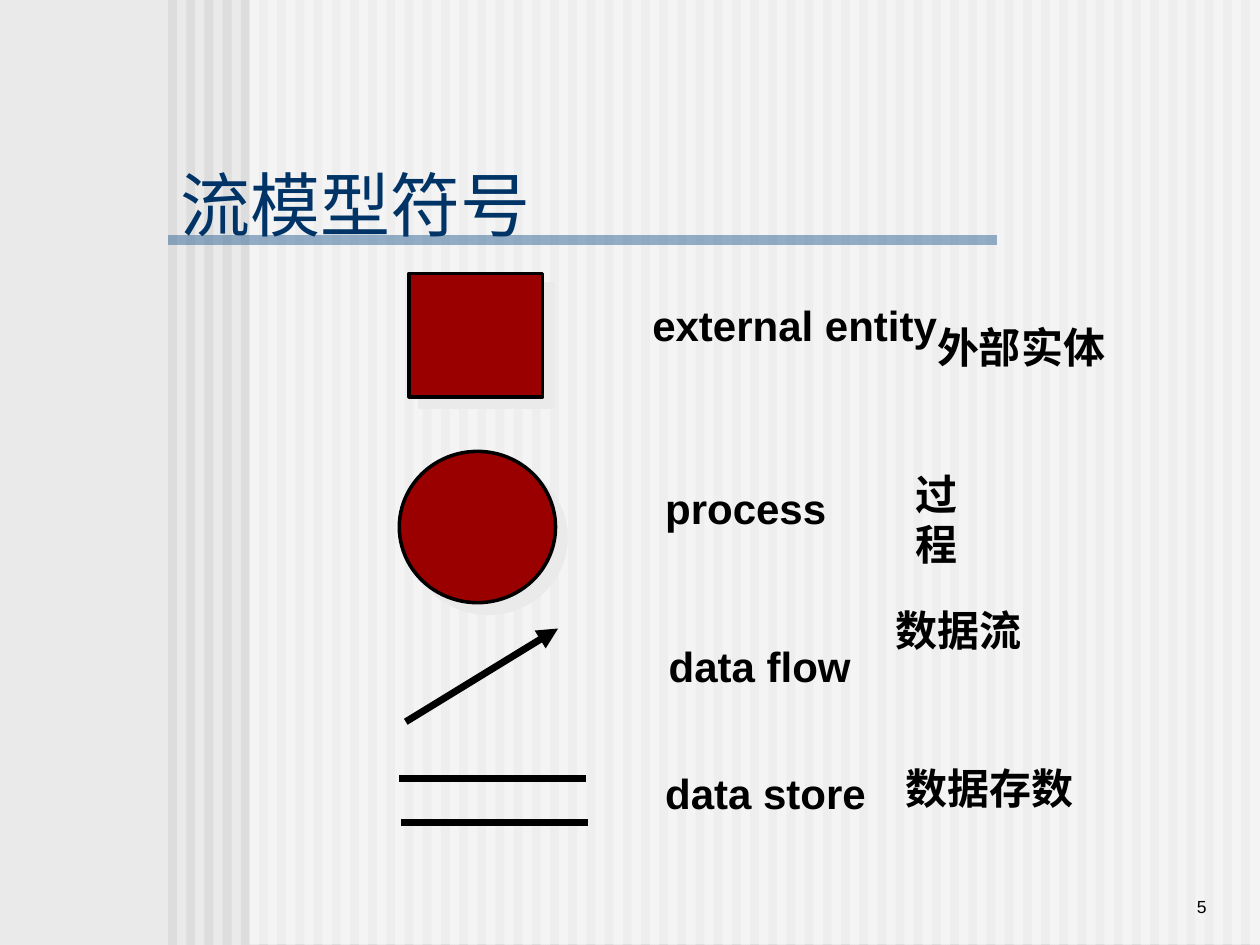
from lxml import etree
from pptx import Presentation
from pptx.dml.color import RGBColor
from pptx.enum import shapes, text
from pptx.oxml import ns
from pptx.util import Cm, Pt

COLORS = {
    "background": "EAEAEA",
    "stripe": "DDDDDD",
    "panel": "FFFFFF",
    "rule": "336699",
    "title": "003366",
    "symbol": "9A0000",
    "ink": "000000",
}
LATIN, CHINESE = "Arial", "Noto Sans CJK SC"
STRIPE_COUNT, STRIPE_FIRST, STRIPE_LAST = 60, 3.39, 25.02
SYMBOLS = [
    (shapes.MSO_SHAPE.RECTANGLE, (8.25, 5.51, 2.69, 2.49)),
    (shapes.MSO_SHAPE.OVAL, (8.05, 9.1, 3.15, 3.05)),
]
STORE_LINES = [(8.05, 15.7, 11.81, 15.7), (8.08, 16.59, 11.86, 16.59)]
LABELS = [
    ("外部实体", CHINESE, (18.64, 6.35, 3.89, 1.27)),
    ("过程", CHINESE, (18.21, 9.32, 2.18, 1.27)),
    ("数据流", CHINESE, (17.8, 12.07, 3.05, 1.27)),
    ("数据存数", CHINESE, (18.01, 15.24, 3.89, 1.27)),
    ("external entity", LATIN, (12.9, 5.92, 6.25, 1.27)),
    ("process", LATIN, (13.16, 9.6, 3.76, 1.27)),
    ("data flow", LATIN, (13.23, 12.78, 4.17, 1.27)),
    ("data store", LATIN, (13.16, 15.34, 4.55, 1.27)),
]


def color(name):
    """Return the named colour."""
    return RGBColor.from_string(COLORS[name])


def add_child(parent, tag, **attributes):
    """Append a DrawingML element and return it."""
    return etree.SubElement(parent, ns.qn(f"a:{tag}"), attributes)


def add_block(slide, box, fill, opacity=100, kind=shapes.MSO_SHAPE.RECTANGLE):
    """Add a filled shape without outline or shadow."""
    shape = slide.shapes.add_shape(kind, *map(Cm, box))
    shape.shadow.inherit = False
    shape.fill.solid()
    shape.fill.fore_color.rgb = color(fill)
    shape.line.fill.background()
    if opacity < 100:
        solid = shape.element.spPr.find(ns.qn("a:solidFill"))
        add_child(solid[0], "alpha", val=str(opacity * 1000))
    return shape


def add_symbol(slide, kind, box):
    """Add an outlined symbol with an offset shadow."""
    shape = add_block(slide, box, "symbol", kind=kind)
    shape.line.color.rgb = color("ink")
    shape.line.width = Pt(2)
    effects = shape.element.spPr.find(ns.qn("a:effectLst"))
    shadow = add_child(effects, "outerShdw", dist=str(Pt(8.5)), dir="2700000",
                       algn="ctr", rotWithShape="0")
    add_child(shadow, "srgbClr", val=COLORS["background"])


def add_line(slide, ends, arrow=False):
    """Add a thick straight line, with an arrowhead at its end if asked."""
    line = slide.shapes.add_connector(shapes.MSO_CONNECTOR.STRAIGHT, *map(Cm, ends))
    line.line.color.rgb = color("ink")
    line.line.width = Pt(4)
    if arrow:
        add_child(line.line._get_or_add_ln(), "tailEnd", type="triangle")
    add_child(line.element.spPr, "effectLst")


def format_text(shape, size, font=LATIN, fill="ink", bold=False):
    """Format every run of a shape's single paragraph."""
    for run in shape.text_frame.paragraphs[0].runs:
        run.font.name = font
        run.font.size = Pt(size)
        run.font.bold = bold
        run.font.color.rgb = color(fill)
        latin = run.font._element.find(ns.qn("a:latin"))
        latin.addnext(latin.makeelement(ns.qn("a:ea"), {"typeface": CHINESE}))


def add_label(slide, wording, font, box):
    """Add a bold label that does not wrap."""
    label = slide.shapes.add_textbox(*map(Cm, box))
    label.text_frame.text = wording
    label.text_frame.word_wrap = False
    label.text_frame.auto_size = text.MSO_AUTO_SIZE.SHAPE_TO_FIT_TEXT
    format_text(label, 24, font, bold=True)


def add_page_number(slide, number):
    """Add the page number at the bottom right."""
    box = slide.shapes.add_textbox(Cm(20.96), Cm(17.35), Cm(3.61), Cm(1.27))
    box.text_frame.text = number
    box.text_frame.word_wrap = True
    box.text_frame.vertical_anchor = text.MSO_ANCHOR.BOTTOM
    box.text_frame.paragraphs[0].alignment = text.PP_ALIGN.RIGHT
    format_text(box, 10)


def add_backdrop(slide):
    """Add the striped background, its pale panel and the title rule."""
    slide.background.fill.solid()
    slide.background.fill.fore_color.rgb = color("background")
    pitch = (STRIPE_LAST - STRIPE_FIRST) / (STRIPE_COUNT - 1)
    for index in range(STRIPE_COUNT):
        add_block(slide, (STRIPE_FIRST + index * pitch, 0, 0.18, 19.05), "stripe")
    add_block(slide, (5.03, -0.02, 20.37, 19.05), "panel", 50)
    add_block(slide, (3.39, 4.74, 16.71, 0.2), "rule", 50)


def place_title(slide, wording):
    """Fill the title placeholder and bring it in front of the backdrop."""
    title = slide.shapes.title
    title.left, title.top, title.width, title.height = map(Cm, (3.39, 2.96, 17.93, 2.29))
    title.text_frame.text = wording
    title.text_frame.auto_size = text.MSO_AUTO_SIZE.NONE
    title.text_frame.vertical_anchor = text.MSO_ANCHOR.MIDDLE
    title.text_frame.paragraphs[0].alignment = text.PP_ALIGN.LEFT
    format_text(title, 40, fill="title")
    slide.shapes.element.append(title.element)


def main():
    """Build the slide of flow model symbols."""
    presentation = Presentation()
    presentation.slide_width, presentation.slide_height = Cm(25.4), Cm(19.05)
    slide = presentation.slides.add_slide(presentation.slide_layouts[5])
    add_backdrop(slide)
    add_page_number(slide, "5")
    place_title(slide, "流模型符号")
    for kind, box in SYMBOLS:
        add_symbol(slide, kind, box)
    add_line(slide, (8.18, 14.55, 11.25, 12.67), arrow=True)
    for ends in STORE_LINES:
        add_line(slide, ends)
    for wording, font, box in LABELS:
        add_label(slide, wording, font, box)
    presentation.save("out.pptx")


if __name__ == "__main__":
    main()
